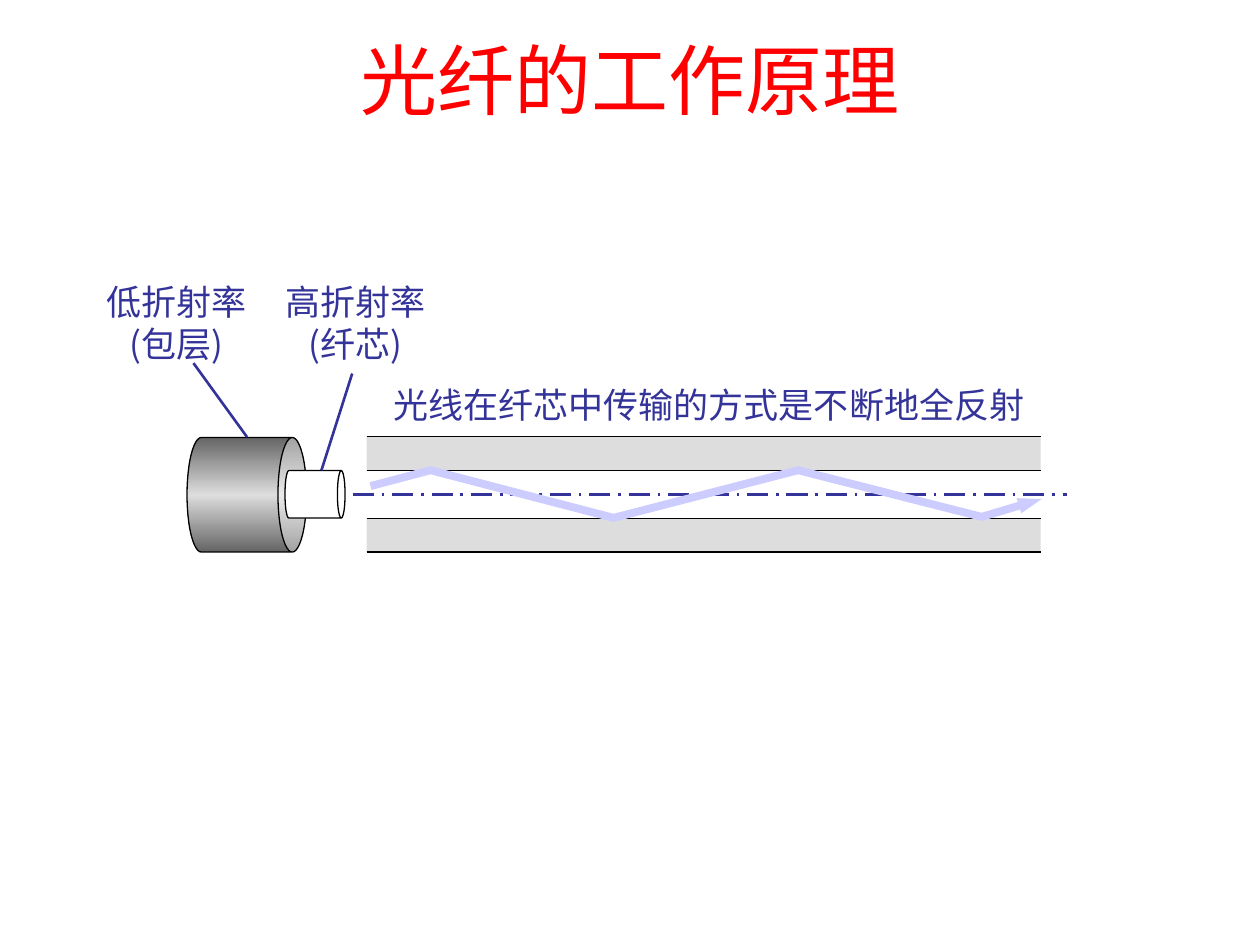
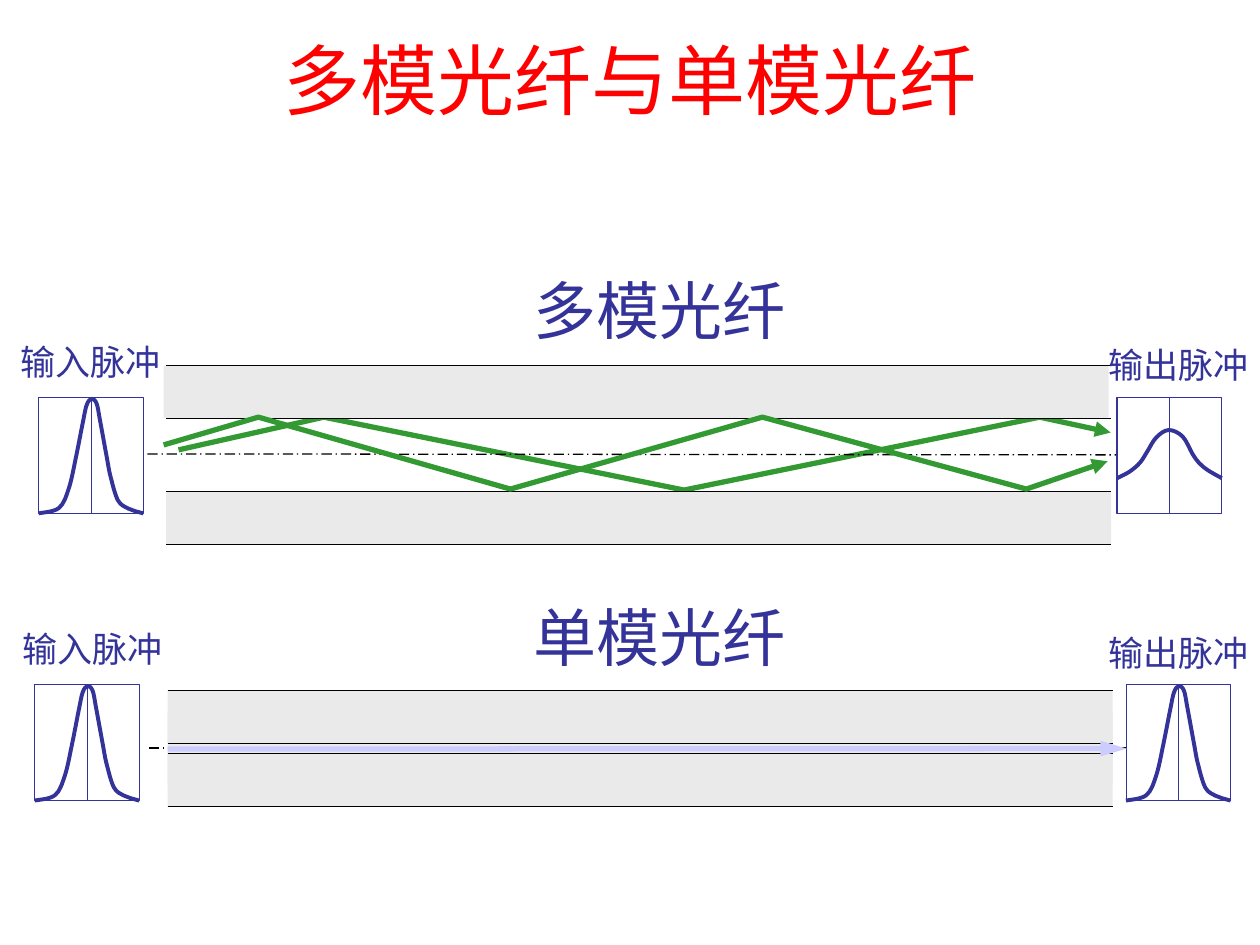
import copy

import pptx
import pptx.dml.color
import pptx.enum.dml
import pptx.enum.shapes
import pptx.enum.text
import pptx.oxml.ns
import pptx.util
from lxml import etree

Cm, Pt = pptx.util.Cm, pptx.util.Pt
SHAPE = pptx.enum.shapes.MSO_SHAPE
ALIGN = pptx.enum.text.PP_ALIGN
qn = pptx.oxml.ns.qn

RED, NAVY, BLACK, WHITE = "FF0000", "333399", "000000", "FFFFFF"
LAVENDER, GREEN = "CCCCFF", "339933"
STEEL, SILVER, MIST = "656565", "DDDDDD", "EAEAEA"
SANS = "Noto Sans CJK SC"

PRINCIPLE = {
    "title": "光纤的工作原理",
    "fiber": dict(left=7.39, width=13.59, edges=[8.8, 9.49, 10.45, 11.13],
                  cladding=SILVER, core=(9.48, 10.45, WHITE)),
    "axis": [(7.11, 9.97), (21.51, 9.97)],
    "cladding can": dict(box=(3.82, 8.77, 2.31, 2.41), depth=0.25),
    "core can": dict(box=(5.87, 9.36, 0.96, 1.21), depth=0.16),
    "labels": [("高折射率\n(纤芯)", (5.5, 5.53, 3.33, 1.96), ALIGN.CENTER),
               ("低折射率\n(包层)", (1.89, 5.53, 3.33, 1.96), ALIGN.CENTER),
               ("光线在纤芯中传输的方式是不断地全反射", (7.68, 7.6, 13.23, 1.12), ALIGN.LEFT)],
    "leaders": [[(7.1, 7.53), (6.48, 9.48)], [(3.9, 7.32), (4.98, 8.81)]],
    "ray": [(7.47, 9.8), (8.68, 9.48), (12.37, 10.44), (16.09, 9.48), (19.79, 10.42), (21, 10.06)],
}

NARROW = [(0, 2.34), (0.41, 2.23), (0.61, 1.83), (0.76, 1.17), (0.89, 0.51), (0.97, 0.15),
          (1.07, 0.03), (1.17, 0.13), (1.24, 0.48), (1.37, 1.19), (1.45, 1.6), (1.6, 2.08),
          (1.8, 2.24), (1.93, 2.29), (2.11, 2.34)]
SPREAD = [(0, 1.63), (0.25, 1.5), (0.46, 1.32), (0.61, 1.09), (0.79, 0.81), (1.04, 0.66),
          (1.32, 0.79), (1.52, 1.14), (1.65, 1.32), (1.83, 1.47), (2.11, 1.63)]
PULSE_W, PULSE_H = 2.11, 2.34

MODES_TITLE = "多模光纤与单模光纤"
MODES = [
    {"heading": ("多模光纤", 5.35),
     "fiber": dict(left=3.35, width=19.05, edges=[7.37, 8.43, 9.91, 10.97], cladding=MIST, inset=-0.05),
     "axis": [(2.97, 9.15), (22.71, 9.17)],
     "rays under": [[(3.6, 9.07), (6.53, 8.41), (13.79, 9.88), (20.96, 8.41), (22.39, 8.72)]],
     "rays over": [[(3.3, 8.97), (5.21, 8.41), (10.29, 9.86), (15.37, 8.41), (20.69, 9.86), (22.33, 9.3)]],
     "ray style": dict(colour=GREEN, weight=3, head=("med", "med")),
     "frame weight": 0.75,
     "pulses": [("输入脉冲", (0.16, 6.73), (0.78, 8.01), NARROW),
                ("输出脉冲", (22.1, 6.81), (22.52, 8.01), SPREAD)]},
    {"heading": ("单模光纤", 11.95),
     "fiber": dict(left=3.38, width=19.05, edges=[13.92, 14.99, 15.19, 16.26], cladding=MIST,
                   core=(14.35, 15.82, MIST)),
     "axis": [(3, 15.08), (22.73, 15.08)],
     "rays under": [],
     "rays over": [[(3.38, 15.1), (22.71, 15.09)]],
     "ray style": dict(colour=LAVENDER, weight=3, head=("med", "lg")),
     "frame weight": 0.5,
     "pulses": [("输入脉冲", (0.2, 12.52), (0.7, 13.8), NARROW),
                ("输出脉冲", (22.1, 12.6), (22.7, 13.8), NARROW)]},
]


def rgb(colour):
    return pptx.dml.color.RGBColor.from_string(colour)


def write(tf, text, size=20, font=SANS, colour=NAVY, align=ALIGN.LEFT):
    for i, part in enumerate(text.split("\n")):
        p = tf.paragraphs[0] if i == 0 else tf.add_paragraph()
        p.alignment = align
        r = p.add_run()
        r.text = part
        r.font.size = Pt(size)
        r.font.name = font
        r.font.color.rgb = rgb(colour)
        etree.SubElement(r.font._element, qn("a:ea")).set("typeface", SANS)


def add_label(s, text, box, **fmt):
    tf = s.shapes.add_textbox(*map(Cm, box)).text_frame
    tf.word_wrap = False
    write(tf, text, **fmt)


def add_block(s, kind, box, fill, line=None, weight=0.75):
    sp = s.shapes.add_shape(kind, *map(Cm, box))
    sp.shadow.inherit = False
    sp.fill.solid()
    sp.fill.fore_color.rgb = rgb(fill)
    if line:
        sp.line.color.rgb = rgb(line)
        sp.line.width = Pt(weight)
    else:
        sp.line.fill.background()
    return sp


def add_path(s, points, colour=BLACK, weight=0.75, dashed=False, head=None):
    pts = [(Cm(x), Cm(y)) for x, y in points]
    if len(pts) == 2:
        sp = s.shapes.add_connector(pptx.enum.shapes.MSO_CONNECTOR.STRAIGHT, *pts[0], *pts[1])
        etree.SubElement(sp._element.spPr, qn("a:effectLst"))
    else:
        builder = s.shapes.build_freeform(*pts[0])
        builder.add_line_segments(pts[1:], close=False)
        sp = builder.convert_to_shape()
        sp.shadow.inherit = False
        sp.fill.background()
    sp.line.color.rgb = rgb(colour)
    sp.line.width = Pt(weight)
    if dashed:
        sp.line.dash_style = pptx.enum.dml.MSO_LINE.LONG_DASH_DOT
    if head:
        tail = etree.SubElement(sp.line._get_or_add_ln(), qn("a:tailEnd"))
        for key, value in zip(("type", "w", "len"), ("triangle", *head)):
            tail.set(key, value)
    return sp


def smooth(sp):
    outline = next(sp._element.iter(qn("a:path")))
    knots = [(int(pt.get("x")), int(pt.get("y"))) for pt in outline.iter(qn("a:pt"))]
    padded = [knots[0], *knots, knots[-1]]
    for i, segment in enumerate(outline.findall(qn("a:lnTo"))):
        a, b, c, d = padded[i:i + 4]
        leave = [q + (r - p) / 6 for p, q, r in zip(a, b, c)]
        arrive = [q - (r - p) / 6 for p, q, r in zip(b, c, d)]
        curve = etree.Element(qn("a:cubicBezTo"))
        for x, y in (leave, arrive, c):
            pt = etree.SubElement(curve, qn("a:pt"))
            pt.set("x", str(round(x)))
            pt.set("y", str(round(y)))
        outline.replace(segment, curve)


def add_fiber(s, left, width, edges, cladding, core=None, inset=0):
    top, inner_top, inner_bottom, bottom = edges
    bands = [(left + inset, top, inner_top, cladding), (left, inner_bottom, bottom, cladding)]
    if core:
        bands.insert(0, (left, *core))
    for x, y1, y2, fill in bands:
        add_block(s, SHAPE.RECTANGLE, (x, y1, width, y2 - y1), fill)
    for y in edges:
        add_path(s, [(left, y), (left + width, y)])


def add_can(s, box, depth):
    sp = add_block(s, SHAPE.CAN, box, WHITE, BLACK)
    sp.adjustments[0] = depth
    sp.rotation = 90
    return sp


def shade_metal(fill):
    fill.gradient()
    fill.gradient_angle = 270
    grad = fill._xPr.find(qn("a:gradFill"))
    grad.set("rotWithShape", "0")
    stops = grad.find(qn("a:gsLst"))
    stops.append(copy.deepcopy(stops[0]))
    for stop, place, colour in zip(fill.gradient_stops, (0, 0.5, 1), (STEEL, SILVER, STEEL)):
        stop.position = place
        stop.color.rgb = rgb(colour)


def add_pulse(s, name, name_at, frame_at, knots, weight):
    x, y = frame_at
    add_block(s, SHAPE.RECTANGLE, (x, y, PULSE_W, PULSE_H), WHITE, NAVY, weight)
    middle = x + PULSE_W / 2
    add_path(s, [(middle, y), (middle, y + PULSE_H)], NAVY, 0.5)
    smooth(add_path(s, [(x + dx, y + dy) for dx, dy in knots], NAVY, 2.25))
    add_label(s, name, (*name_at, 3.33, 1.12))


def add_slide(prs, title):
    s = prs.slides.add_slide(prs.slide_layouts[5])
    sp = s.shapes.title
    sp.left, sp.top, sp.width, sp.height = Cm(0), Cm(0), prs.slide_width, Cm(3.18)
    tf = sp.text_frame
    tf.auto_size = pptx.enum.text.MSO_AUTO_SIZE.NONE
    tf.vertical_anchor = pptx.enum.text.MSO_ANCHOR.MIDDLE
    write(tf, title, size=44, font="Times New Roman", colour=RED, align=ALIGN.CENTER)
    return s


def build_principle(prs):
    d = PRINCIPLE
    s = add_slide(prs, d["title"])
    add_fiber(s, **d["fiber"])
    shade_metal(add_can(s, **d["cladding can"]).fill)
    add_can(s, **d["core can"])
    add_path(s, d["axis"], NAVY, 1.5, dashed=True)
    for text, box, align in d["labels"]:
        add_label(s, text, box, align=align)
    for leader in d["leaders"]:
        add_path(s, leader, NAVY, 1.5)
    add_path(s, d["ray"], LAVENDER, 4.5, head=("sm", "med"))


def build_modes(prs):
    s = add_slide(prs, MODES_TITLE)
    for mode in MODES:
        for ray in mode["rays under"]:
            add_path(s, ray, **mode["ray style"])
        add_fiber(s, **mode["fiber"])
        add_path(s, mode["axis"], dashed=True)
        for pulse in mode["pulses"]:
            add_pulse(s, *pulse, mode["frame weight"])
        for ray in mode["rays over"]:
            add_path(s, ray, **mode["ray style"])
        text, top = mode["heading"]
        add_label(s, text, (10.5, top, 5.59, 1.78), size=36, font="Roboto")


def main():
    prs = pptx.Presentation()
    prs.slide_width, prs.slide_height = Cm(25.4), Cm(19.05)
    build_principle(prs)
    build_modes(prs)
    prs.save("out.pptx")


if __name__ == "__main__":
    main()
